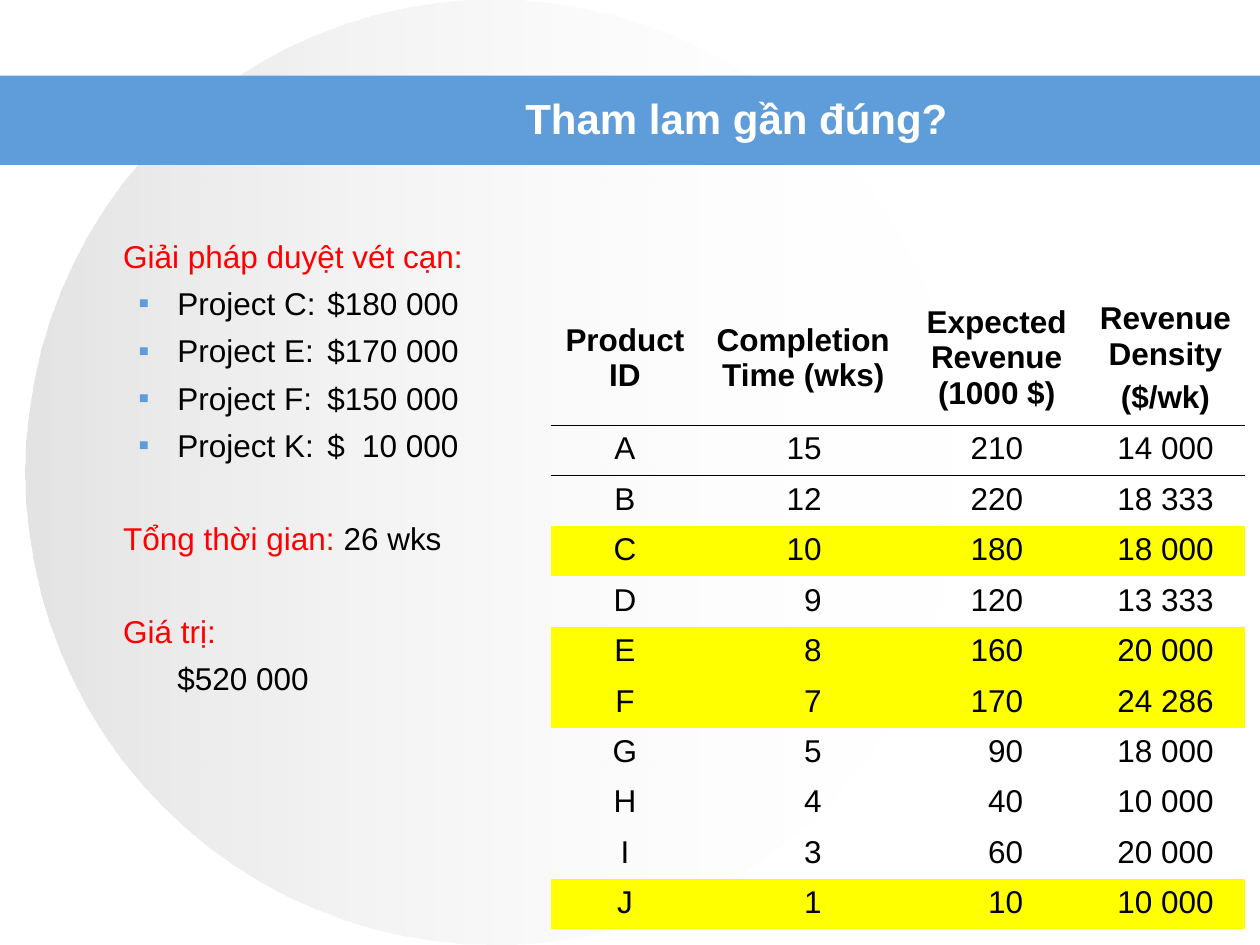
from lxml import etree
from pptx import Presentation
from pptx.dml.color import RGBColor
from pptx.enum.shapes import MSO_SHAPE
from pptx.enum.text import MSO_ANCHOR, PP_ALIGN
from pptx.oxml.ns import qn
from pptx.util import Inches, Pt

CENTER, LEFT, RIGHT = PP_ALIGN.CENTER, PP_ALIGN.LEFT, PP_ALIGN.RIGHT
MIDDLE, TOP = MSO_ANCHOR.MIDDLE, MSO_ANCHOR.TOP

# Content
TITLE = "Tham lam gần đúng?"
# Each line: kind, then (text, colour) runs
SOLUTION = [
    ("heading", [("Giải pháp duyệt vét cạn:", "accent")]),
    ("project", [("Project C:\t$180 000", "text")]),
    ("project", [("Project E:\t$170 000", "text")]),
    ("project", [("Project F:\t$150 000", "text")]),
    ("project", [("Project K:\t$\t10 000", "text")]),
    ("section", [("Tổng thời gian: ", "accent"), ("26 wks", "text")]),
    ("section", [("Giá trị:", "accent")]),
    ("value", [("$520 000", "text")]),
]
HEADERS = ["Product ID", "Completion Time (wks)",
           "Expected Revenue (1000 $)", "Revenue Density\n($/wk)"]
PRODUCTS = [
    ("A", "15", "210", "14 000"),
    ("B", "12", "220", "18 333"),
    ("C", "10", "180", "18 000"),
    ("D", "9", "120", "13 333"),
    ("E", "8", "160", "20 000"),
    ("F", "7", "170", "24 286"),
    ("G", "5", "90", "18 000"),
    ("H", "4", "40", "10 000"),
    ("I", "3", "60", "20 000"),
    ("J", "1", "10", "10 000"),
]
CHOSEN = {"C", "E", "F", "J"}

# Format values
THEME = {
    "font": "Arial", "title_size": 24, "body_size": 18,
    "text": "000000", "accent": "FF0000", "white": "FFFFFF",
    "band": "5E9CDA", "circle": "C0C0C0", "chosen": "FFFF00",
}
# Left indent, first-line indent (inches), space before (points)
LINE_FORMATS = {
    "heading": (0.38, 0, 5.4),
    "section": (0.38, 0, 31.6),
    "project": (0.81, -0.31, 5.4),
    "value": (0.81, 0, 5.4),
}
AMOUNT_TABS = [(2, "l"), (3.04, "r")]
# Width, alignment and right margin of each table column
COLUMNS = [(1.18, CENTER, 0.1), (1.65, RIGHT, 0.68),
           (1.42, RIGHT, 0.5), (1.26, CENTER, 0.1)]
HEADER_HEIGHT, ROW_HEIGHT = 1.06, 0.4
PLAIN_TABLE_STYLE = "{2D5ABB26-0587-4C30-8999-92F81FD0307C}"


def box(*lengths):
    return [Inches(length) for length in lengths]


def rgb(name):
    return RGBColor.from_string(THEME[name])


def add_run(paragraph, text, color="text", size="body_size", bold=False):
    run = paragraph.add_run()
    run.text = text
    formats = {"name": THEME["font"], "size": Pt(THEME[size]), "bold": bold}
    for key, value in formats.items():
        setattr(run.font, key, value)
    run.font.color.rgb = rgb(color)


def add_backdrop(slide, kind, place):
    shape = slide.shapes.add_shape(kind, *box(*place))
    shape.shadow.inherit = False
    shape.line.fill.background()
    return shape


def format_line(paragraph, kind):
    left, first, before = LINE_FORMATS[kind]
    paragraph.space_before = Pt(before)
    props = paragraph._p.get_or_add_pPr()
    props.set("marL", str(Inches(left)))
    props.set("indent", str(Inches(first)))
    if kind == "project":
        color = etree.SubElement(props, qn("a:buClr"))
        etree.SubElement(color, qn("a:srgbClr"), val=THEME["band"])
        etree.SubElement(props, qn("a:buFont"), typeface=THEME["font"])
        etree.SubElement(props, qn("a:buChar"), char="▪")
        tabs = etree.SubElement(props, qn("a:tabLst"))
        for position, side in AMOUNT_TABS:
            etree.SubElement(tabs, qn("a:tab"),
                             pos=str(Inches(position)), algn=side)


def fill_cell(cell, text, align, margin, anchor, bold=False):
    cell.vertical_anchor = anchor
    cell.margin_right = Inches(margin)
    for i, line in enumerate(text.split("\n")):
        frame = cell.text_frame
        paragraph = frame.add_paragraph() if i else frame.paragraphs[0]
        paragraph.alignment = align
        paragraph.space_before = Pt(4.5)
        add_run(paragraph, line, bold=bold)


def add_rule(cell, side):
    props = cell._tc.get_or_add_tcPr()
    rule = etree.Element(qn("a:" + side), w=str(Pt(0.45)))
    solid = etree.SubElement(rule, qn("a:solidFill"))
    etree.SubElement(solid, qn("a:srgbClr"), val=THEME["text"])
    props.insert(0, rule)


def main():
    prs = Presentation()
    prs.slide_width, prs.slide_height = box(10, 7.5)
    slide = prs.slides.add_slide(prs.slide_layouts[5])

    # Faded circle and title band
    circle = add_backdrop(slide, MSO_SHAPE.OVAL, (0.2, 0, 7.44, 7.5))
    circle.fill.gradient()
    circle.fill.gradient_angle = 0
    fades = [("circle", 0, 44000), ("white", 1, 0)]
    for stop, (color, position, alpha) in zip(circle.fill.gradient_stops, fades):
        stop.color.rgb = rgb(color)
        stop.position = position
        etree.SubElement(stop._gs[0], qn("a:alpha"), val=str(alpha))
    band = add_backdrop(slide, MSO_SHAPE.RECTANGLE, (0, 0.6, 10, 0.71))
    band.fill.solid()
    band.fill.fore_color.rgb = rgb("band")

    # Title, brought in front of the band
    title = slide.shapes.title
    slide.shapes._spTree.append(title._element)
    title.left, title.top, title.width, title.height = box(1.72, 0.67, 8.25, 0.53)
    title.text_frame.vertical_anchor = MIDDLE
    heading = title.text_frame.paragraphs[0]
    heading.alignment = CENTER
    add_run(heading, TITLE, "white", "title_size", bold=True)

    # Exhaustive-search solution
    solution = slide.shapes.add_textbox(*box(0.5, 1.83, 9.04, 5.08)).text_frame
    solution.word_wrap = True
    for i, (kind, runs) in enumerate(SOLUTION):
        line = solution.add_paragraph() if i else solution.paragraphs[0]
        line.alignment = LEFT
        format_line(line, kind)
        for text, color in runs:
            add_run(line, text, color)

    # Product table
    width = sum(column[0] for column in COLUMNS)
    height = HEADER_HEIGHT + ROW_HEIGHT * len(PRODUCTS)
    table = slide.shapes.add_table(len(PRODUCTS) + 1, len(COLUMNS),
                                   *box(4.37, 2.31, width, height)).table
    table.first_row = table.horz_banding = False
    table._tbl.tblPr.find(qn("a:tableStyleId")).text = PLAIN_TABLE_STYLE
    for r, row in enumerate([HEADERS] + PRODUCTS):
        table.rows[r].height = Inches(ROW_HEIGHT if r else HEADER_HEIGHT)
        for c, (column_width, align, margin) in enumerate(COLUMNS):
            table.columns[c].width = Inches(column_width)
            cell = table.cell(r, c)
            if r:
                fill_cell(cell, row[c], align, margin, TOP)
            else:
                fill_cell(cell, row[c], CENTER, 0.1, MIDDLE, bold=True)
            if row[0] in CHOSEN:
                cell.fill.solid()
                cell.fill.fore_color.rgb = rgb("chosen")
            else:
                cell.fill.background()
            if r < 2:
                add_rule(cell, "lnT" if r else "lnB")

    prs.save("out.pptx")


if __name__ == "__main__":
    main()
